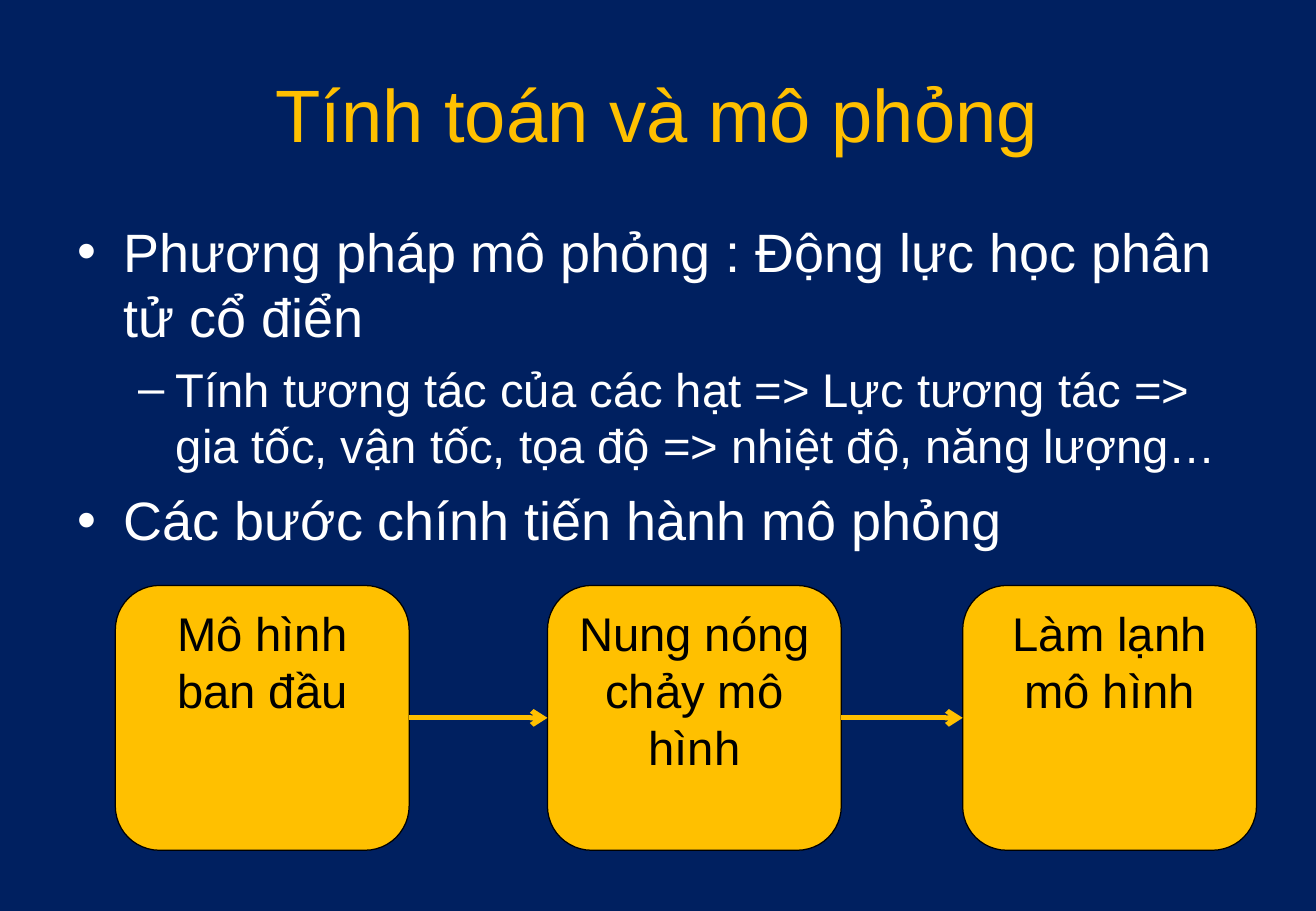
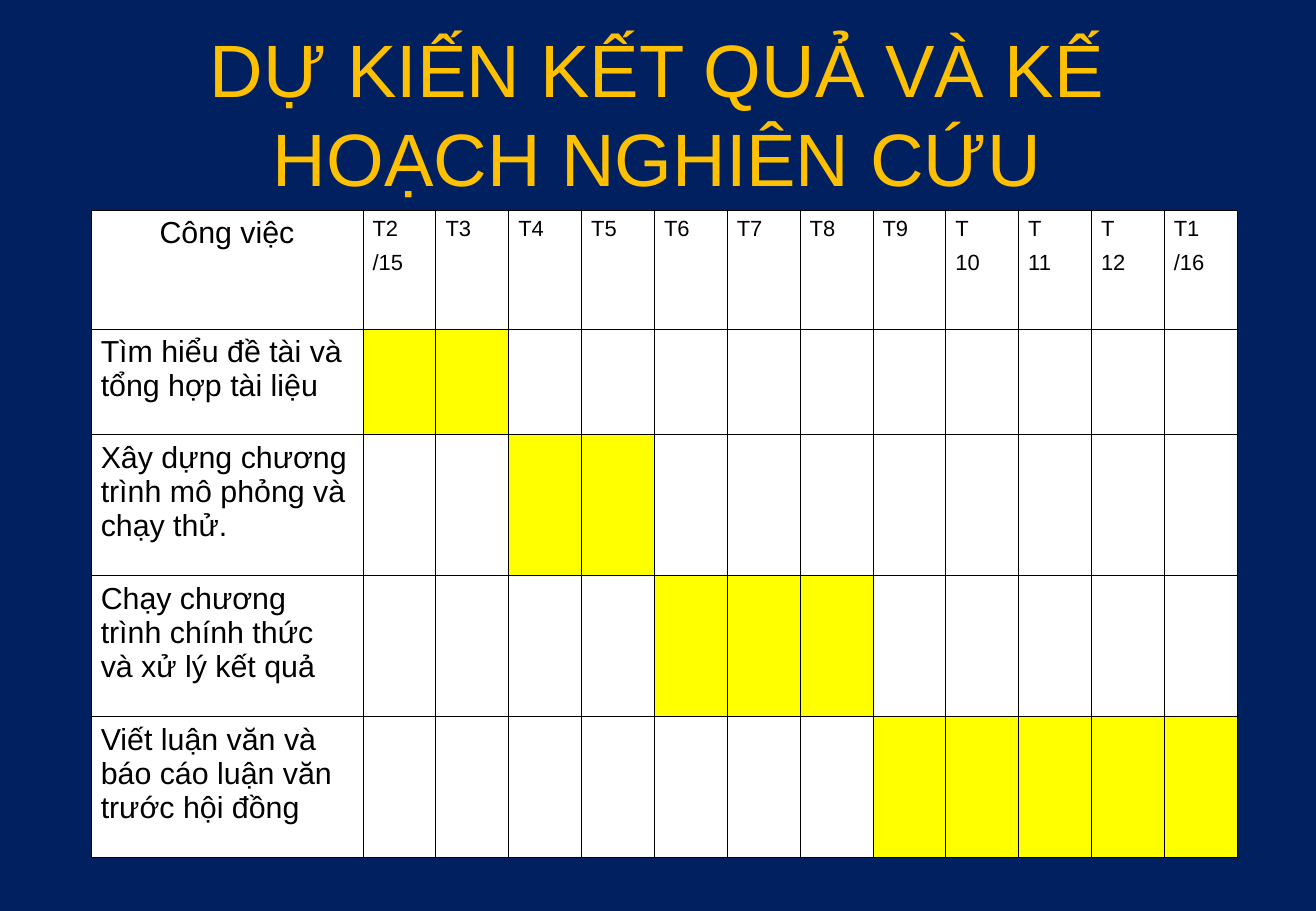
from pptx import Presentation
from pptx import util as u
from pptx.dml.color import RGBColor
from pptx.enum import shapes, text
from pptx.oxml import parse_xml
from pptx.oxml.ns import nsdecls, qn

NAVY = RGBColor(0x00, 0x20, 0x60)
GOLD = RGBColor(0xFF, 0xC0, 0x00)
YELLOW = RGBColor(0xFF, 0xFF, 0x00)
WHITE = RGBColor(0xFF, 0xFF, 0xFF)
BLACK = RGBColor(0x00, 0x00, 0x00)
FONT = "Arial"
SLIDE_W, SLIDE_H = 10.84, 7.5
MARGIN = 0.54
TEXT_W = 9.75

SIMULATION_TITLE = "Tính toán và mô phỏng"
METHOD = [  # level, words
    (0, "Phương pháp mô phỏng : Động lực học phân tử cổ điển"),
    (1, "Tính tương tác của các hạt => Lực tương tác => gia tốc, vận tốc, "
        "tọa độ => nhiệt độ, năng lượng…"),
    (0, "Các bước chính tiến hành mô phỏng"),
]
LEVELS = [  # bullet, size, space before, text indent, hanging indent
    ("•", 32, 8, 0.38, 0.38),
    ("–", 28, 7, 0.81, 0.31),
]
STEPS = [  # left edge, words
    (0.95, "Mô hình ban đầu"),
    (4.51, "Nung nóng chảy mô hình"),
    (7.93, "Làm lạnh mô hình"),
]
STEP_TOP, STEP_W, STEP_H = 4.82, 2.42, 2.18

PLAN_TITLE = "DỰ KIẾN KẾT QUẢ VÀ KẾ HOẠCH NGHIÊN CỨU"
TASK_HEADING = "Công việc"
MONTHS = [("T2", "/15"), ("T3",), ("T4",), ("T5",), ("T6",), ("T7",), ("T8",),
          ("T9",), ("T", "10"), ("T", "11"), ("T", "12"), ("T1", "/16")]
TASKS = [  # words, first month column, last month column
    ("Tìm hiểu đề tài và tổng hợp tài liệu", 1, 2),
    ("Xây dựng chương trình mô phỏng và chạy thử.", 3, 4),
    ("Chạy chương trình chính thức và xử lý kết quả", 5, 7),
    ("Viết luận văn và báo cáo luận văn trước hội đồng", 8, 12),
]
PLAN_LEFT, PLAN_TOP = 0.75, 1.73
PLAN_COLUMNS = [2.24] + [0.6] * len(MONTHS)
PLAN_ROWS = [0.98, 0.87, 1.16, 1.16, 1.16]


def inches(*lengths):
    return [u.Inches(length) for length in lengths]


def write(paragraph, words, size, color, align=text.PP_ALIGN.LEFT, before=0):
    paragraph.alignment = align
    paragraph.space_before = u.Pt(before)
    run = paragraph.add_run()
    run.text = words
    run.font.name, run.font.size = FONT, u.Pt(size)
    run.font.color.rgb = color


def write_lines(frame, lines, *style, **options):
    for i, words in enumerate(lines):
        paragraph = frame.add_paragraph() if i else frame.paragraphs[0]
        write(paragraph, words, *style, **options)


def add_text_area(slide, top, height):
    frame = slide.shapes.add_textbox(
        *inches(MARGIN, top, TEXT_W, height)).text_frame
    frame.word_wrap = True
    return frame


def add_titled_slide(prs, title):
    slide = prs.slides.add_slide(prs.slide_layouts[6])
    frame = add_text_area(slide, 0.3, 1.25)
    frame.vertical_anchor = text.MSO_ANCHOR.MIDDLE
    write(frame.paragraphs[0], title, 44, GOLD, text.PP_ALIGN.CENTER)
    return slide


def set_bullet(paragraph, mark, indent, hanging):
    props = paragraph._p.get_or_add_pPr()
    props.set("marL", str(u.Inches(indent)))
    props.set("indent", str(-u.Inches(hanging)))
    for xml in (f'<a:buClr {nsdecls("a")}><a:srgbClr val="{WHITE}"/></a:buClr>',
                f'<a:buFont {nsdecls("a")} typeface="{FONT}"/>',
                f'<a:buChar {nsdecls("a")} char="{mark}"/>'):
        props.append(parse_xml(xml))


def add_method(slide):
    frame = add_text_area(slide, 1.75, 4.95)
    for i, (level, words) in enumerate(METHOD):
        mark, size, before, indent, hanging = LEVELS[level]
        paragraph = frame.add_paragraph() if i else frame.paragraphs[0]
        paragraph.level = level
        write(paragraph, words, size, WHITE, before=before)
        set_bullet(paragraph, mark, indent, hanging)


def add_step(slide, left, words):
    step = slide.shapes.add_shape(shapes.MSO_SHAPE.ROUNDED_RECTANGLE,
                                  *inches(left, STEP_TOP, STEP_W, STEP_H))
    step.shadow.inherit = False
    step.fill.solid()
    step.fill.fore_color.rgb = GOLD
    step.line.color.rgb = BLACK
    step.line.width = u.Pt(0.75)
    step.text_frame.word_wrap = True
    step.text_frame.vertical_anchor = text.MSO_ANCHOR.TOP
    write(step.text_frame.paragraphs[0], words, 28, BLACK, text.PP_ALIGN.CENTER)
    return step


def add_arrow(slide, before, after):
    arrow = slide.shapes.add_connector(shapes.MSO_CONNECTOR.STRAIGHT, 0, 0, 0, 0)
    arrow.begin_connect(before, 3)
    arrow.end_connect(after, 1)
    arrow.line.color.rgb = GOLD
    arrow.line.width = u.Pt(3)
    arrow.line._get_or_add_ln().append(
        parse_xml(f'<a:tailEnd {nsdecls("a")} type="arrow"/>'))
    arrow._element.spPr.append(parse_xml(f'<a:effectLst {nsdecls("a")}/>'))


def style_cell(cell, fill):
    cell.margin_left = cell.margin_right = u.Inches(0.08)
    cell.margin_top = cell.margin_bottom = u.Inches(0.05)
    props = cell._tc.get_or_add_tcPr()
    for side in "LRTB":
        props.append(parse_xml(
            f'<a:ln{side} {nsdecls("a")} w="{u.Pt(0.45)}"><a:solidFill>'
            f'<a:srgbClr val="{BLACK}"/></a:solidFill></a:ln{side}>'))
    cell.fill.solid()
    cell.fill.fore_color.rgb = fill


def add_plan(slide):
    plan = slide.shapes.add_table(
        len(PLAN_ROWS), len(PLAN_COLUMNS),
        *inches(PLAN_LEFT, PLAN_TOP, sum(PLAN_COLUMNS), sum(PLAN_ROWS))).table
    plan.first_row = plan.horz_banding = False
    for column, width in zip(plan.columns, PLAN_COLUMNS):
        column.width = u.Inches(width)
    for row, height in zip(plan.rows, PLAN_ROWS):
        row.height = u.Inches(height)

    for c, heading in enumerate([(TASK_HEADING,)] + MONTHS):
        cell = plan.cell(0, c)
        style_cell(cell, WHITE)
        size, align = ((13, text.PP_ALIGN.LEFT) if c
                       else (18, text.PP_ALIGN.CENTER))
        write_lines(cell.text_frame, heading, size, BLACK, align, before=6)

    for r, (task, first, last) in enumerate(TASKS, 1):
        for c in range(len(PLAN_COLUMNS)):
            style_cell(plan.cell(r, c), YELLOW if first <= c <= last else WHITE)
        write_lines(plan.cell(r, 0).text_frame, [task], 18, BLACK, before=6)


def main():
    prs = Presentation()
    prs.slide_width, prs.slide_height = inches(SLIDE_W, SLIDE_H)
    background = prs.slide_master.background.fill
    background.solid()
    background.fore_color.rgb = NAVY

    simulation = add_titled_slide(prs, SIMULATION_TITLE)
    add_method(simulation)
    steps = [add_step(simulation, *step) for step in STEPS]
    for before, after in zip(steps, steps[1:]):
        add_arrow(simulation, before, after)

    add_plan(add_titled_slide(prs, PLAN_TITLE))
    prs.save("out.pptx")


if __name__ == "__main__":
    main()
